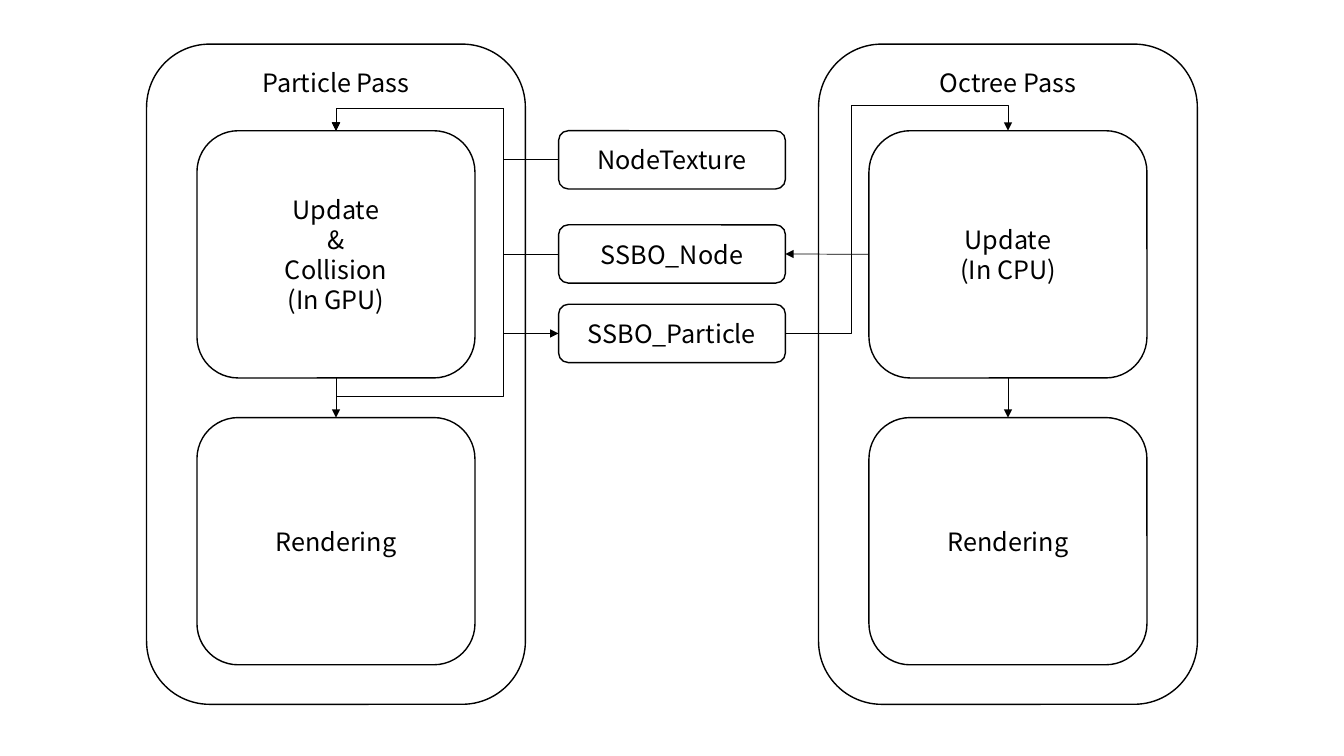
from lxml import etree
from pptx import Presentation
from pptx.dml.color import RGBColor
from pptx.enum.shapes import MSO_CONNECTOR, MSO_SHAPE
from pptx.enum.text import MSO_ANCHOR, PP_ALIGN
from pptx.oxml.ns import qn
from pptx.util import Pt

ROUNDED = MSO_SHAPE.ROUNDED_RECTANGLE
STRAIGHT, ELBOW = MSO_CONNECTOR.STRAIGHT, MSO_CONNECTOR.ELBOW
TOP, MIDDLE = MSO_ANCHOR.TOP, MSO_ANCHOR.MIDDLE
CENTER = PP_ALIGN.CENTER
BLACK = "000000"
FONT = {"name": "Noto Sans CJK KR", "size": Pt(18)}
SIDE_TOP, SIDE_LEFT, SIDE_BOTTOM, SIDE_RIGHT = range(4)


def color(value):
    return RGBColor.from_string(value)


def add_box(center, top, width, height, lines, anchor=MIDDLE):
    sp = s.shapes.add_shape(ROUNDED, Pt(center - width / 2), Pt(top), Pt(width), Pt(height))
    sp.shadow.inherit = False
    sp.fill.background()
    sp.line.color.rgb = color(BLACK)
    sp.line.width = Pt(1)
    tf = sp.text_frame
    tf.word_wrap = True
    tf.vertical_anchor = anchor
    for i, line in enumerate(lines):
        p = tf.paragraphs[0] if i == 0 else tf.add_paragraph()
        p.alignment = CENTER
        r = p.add_run()
        r.text = line
        for key, value in FONT.items():
            setattr(r.font, key, value)
        r.font.color.rgb = color(BLACK)
    return sp


prs = Presentation()
prs.slide_width, prs.slide_height = Pt(960), Pt(540)
s = prs.slides.add_slide(prs.slide_layouts[6])

# Passes with their update and rendering steps
passes = [
    (240, "Particle Pass", ["Update", "&", "Collision", "(In GPU)"]),
    (720, "Octree Pass", ["Update", "(In CPU)"]),
]
updates, renderings = [], []
for center, title, steps in passes:
    add_box(center, 31.5, 270.6, 471.6, [title], TOP)
    updates.append(add_box(center, 93.4, 198.6, 176.6, steps))
    renderings.append(add_box(center, 298.3, 198.6, 176.6, ["Rendering"]))
particle_update, octree_update = updates

# Shared buffers
texture, node, particle = [
    add_box(480, top, 162, 41.6, [name])
    for top, name in [(93.4, "NodeTexture"), (160.6, "SSBO_Node"), (217.4, "SSBO_Particle")]
]

# Arrows: from, side, to, side, arrowhead end, bend (x, y) for elbows
arrows = [
    (particle, SIDE_LEFT, particle_update, SIDE_BOTTOM, "headEnd", (359.5, 283)),
    (texture, SIDE_LEFT, particle_update, SIDE_TOP, "tailEnd", (359.5, 77.2)),
    (node, SIDE_LEFT, particle_update, SIDE_TOP, "tailEnd", (359.5, 77.2)),
    (particle, SIDE_LEFT, particle_update, SIDE_TOP, "tailEnd", (359.5, 77.2)),
    (particle, SIDE_RIGHT, octree_update, SIDE_TOP, "tailEnd", (608.3, 75.4)),
    (octree_update, SIDE_LEFT, node, SIDE_RIGHT, "tailEnd", None),
]
for update, rendering in zip(updates, renderings):
    arrows.append((update, SIDE_BOTTOM, rendering, SIDE_TOP, "tailEnd", None))

for start, start_side, end, end_side, arrowhead, bend in arrows:
    cx = s.shapes.add_connector(ELBOW if bend else STRAIGHT, 0, 0, 0, 0)
    cx.begin_connect(start, start_side)
    cx.end_connect(end, end_side)
    cx.line.color.rgb = color(BLACK)
    cx.line.width = Pt(0.5)
    etree.SubElement(cx.line._get_or_add_ln(), qn("a:" + arrowhead), type="triangle")
    sp_pr = cx._element.spPr
    etree.SubElement(sp_pr, qn("a:effectLst"))
    if bend:
        geometry = sp_pr.find(qn("a:prstGeom"))
        geometry.set("prst", "bentConnector4")
        guides = geometry.get_or_add_avLst()
        ratios = [
            (Pt(bend[0]) - cx.begin_x) / (cx.end_x - cx.begin_x),
            (Pt(bend[1]) - cx.begin_y) / (cx.end_y - cx.begin_y),
        ]
        for i, ratio in enumerate(ratios, 1):
            etree.SubElement(guides, qn("a:gd"), name=f"adj{i}", fmla=f"val {round(ratio * 100000)}")

prs.save("out.pptx")
